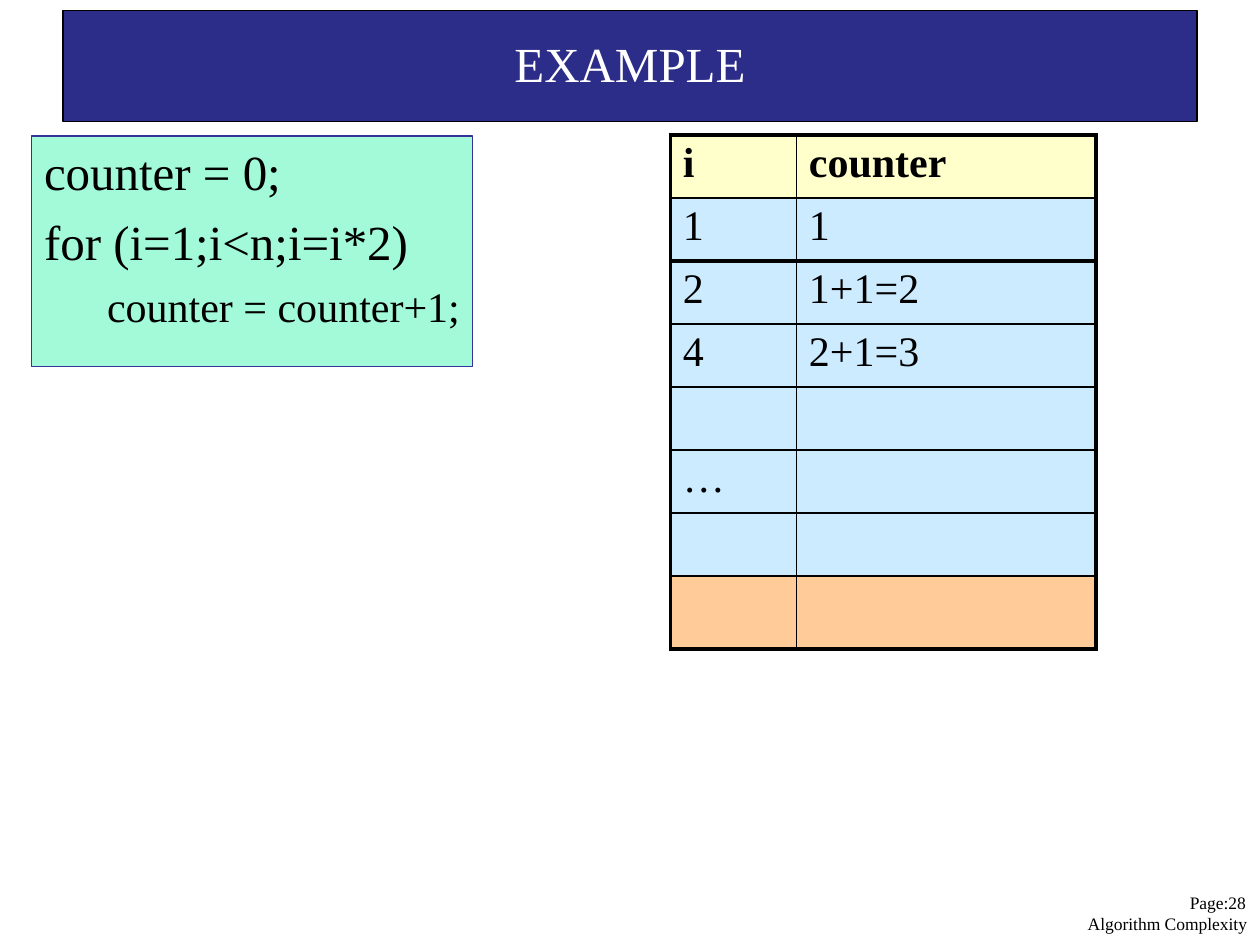
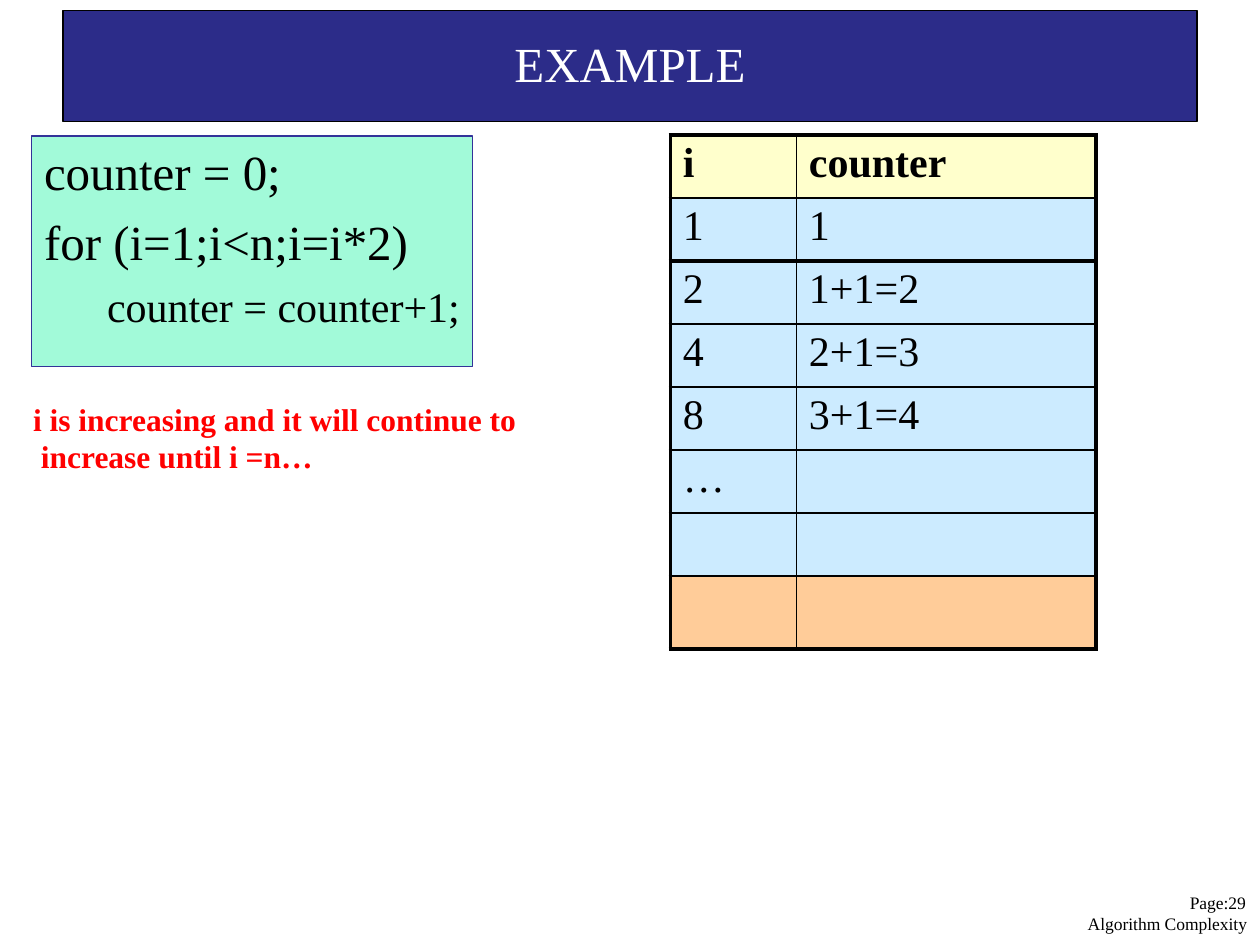
from pptx import Presentation
from pptx.dml.color import RGBColor as RGB
from pptx.enum.shapes import MSO_SHAPE as Shape
from pptx.enum.text import MSO_ANCHOR as Anchor, PP_ALIGN as Align
from pptx.oxml.ns import qn
from pptx.util import Pt
from lxml.etree import SubElement

# Content
TITLE = "EXAMPLE"
TOPIC = "Algorithm Complexity"
# text, size, left indent, space before
CODE = [
    ("counter = 0;", 28, 7.2, 2.6),
    ("for (i=1;i<n;i=i*2)", 28, 7.2, 6.8),
    ("counter = counter+1;", 24, 43.2, 5.9),
]
HEAD = ("i", "counter")
STEPS = [("1", "1"), ("2", "1+1=2"), ("4", "2+1=3")]
BLANK = ("", "")
REST = [("…", ""), BLANK, BLANK]
SLIDES = [
    {"page": 28, "next": BLANK, "note": ""},
    {"page": 29, "next": ("8", "3+1=4"),
     "note": "i is increasing and it will continue to increase until i =n…"},
]

# Style
FONT = "Times New Roman"
BLACK = RGB(0x00, 0x00, 0x00)
WHITE = RGB(0xFF, 0xFF, 0xFF)
RED = RGB(0xFF, 0x00, 0x00)
NAVY = RGB(0x2C, 0x2C, 0x89)
EDGE = RGB(0x33, 0x33, 0x99)
MINT = RGB(0xA2, 0xFA, 0xD9)
CREAM = RGB(0xFF, 0xFF, 0xCC)
SKY = RGB(0xCC, 0xEB, 0xFF)
PEACH = RGB(0xFF, 0xCC, 0x99)

# Places: left, top, width, height
BAND = (36, 6, 648, 63.4)
CODEBOX = (18, 77.76, 252, 131.76)
NOTEBOX = (18, 227.52, 277.92, 45.36)
FOOTBOX = (620.64, 509.76, 95.04, 25.2)
GRID = (383.04, 77.04)
COLS = (72, 171.36)
ROW, LAST = 36, 41.76
THICK, THIN = 2.25, 1


def style(par, size, color=BLACK, bold=False, before=0, left=0, first=0):
    par.space_before = Pt(before)
    props = par._p.get_or_add_pPr()
    props.set("marL", str(Pt(left)))
    props.set("indent", str(Pt(first)))
    for run in par.runs:
        font = run.font
        font.name, font.size, font.bold = FONT, Pt(size), bold
        font.color.rgb = color


def frame(shape, top=0):
    text = shape.text_frame
    text.word_wrap = True
    text.vertical_anchor = Anchor.TOP
    text.margin_left = text.margin_right = text.margin_bottom = 0
    text.margin_top = Pt(top)
    return text


def panel(slide, place, fill, line, top):
    box = slide.shapes.add_shape(Shape.RECTANGLE, *map(Pt, place))
    box.shadow.inherit = False
    box.fill.solid()
    box.fill.fore_color.rgb = fill
    box.line.color.rgb = line
    box.line.width = Pt(0.75)
    return frame(box, top)


def label(slide, place, words, top=0):
    text = frame(slide.shapes.add_textbox(*map(Pt, place)), top)
    text.text = words
    return text.paragraphs[0]


def border(cell, widths):
    props = cell._tc.get_or_add_tcPr()
    for spot, (side, width) in enumerate(widths.items()):
        line = props.makeelement(qn("a:ln" + side), {"w": str(Pt(width))})
        fill = SubElement(line, qn("a:solidFill"))
        SubElement(fill, qn("a:srgbClr"), val=str(BLACK))
        props.insert(spot, line)  # borders come before the fill


def trace(slide, rows):
    heights = [ROW] * (len(rows) - 1) + [LAST]
    size = (sum(COLS), sum(heights))
    table = slide.shapes.add_table(
        len(rows), len(COLS), *map(Pt, GRID + size)).table
    table.first_row = table.horz_banding = False
    for col, width in zip(table.columns, COLS):
        col.width = Pt(width)
    end = len(rows) - 1
    heavy = {0, 2, len(rows)}  # rules around the table and under step 1
    for r, row in enumerate(rows):
        table.rows[r].height = Pt(heights[r])
        for c, words in enumerate(row):
            cell = table.cell(r, c)
            cell.margin_left = cell.margin_right = cell.margin_bottom = 0
            cell.margin_top = Pt(2.88)
            cell.fill.solid()
            cell.fill.fore_color.rgb = {0: CREAM, end: PEACH}.get(r, SKY)
            border(cell, {
                "L": THIN if c else THICK,
                "R": THICK if c else THIN,
                "T": THICK if r in heavy else THIN,
                "B": THICK if r + 1 in heavy else THIN,
            })
            if words:
                cell.text_frame.text = words
                style(cell.text_frame.paragraphs[0], 24, bold=r == 0,
                      before=2.8, left=7.2)


def shared(slide, page):
    # Footer
    par = label(slide, FOOTBOX, f"Page:{page} {TOPIC}")
    style(par, 10, before=0.2, left=0.9, first=58.3)
    par.line_spacing = Pt(12)
    # Title band
    text = panel(slide, BAND, NAVY, BLACK, 13.4)
    text.text = TITLE
    par = text.paragraphs[0]
    par.alignment = Align.CENTER
    style(par, 28, WHITE)
    # Code
    text = panel(slide, CODEBOX, MINT, EDGE, 2.88)
    text.text = "\n".join(line[0] for line in CODE)
    for par, (_, size, left, before) in zip(text.paragraphs, CODE):
        par.alignment = Align.LEFT
        style(par, size, before=before, left=left)


def main():
    deck = Presentation()
    deck.slide_width, deck.slide_height = Pt(720), Pt(540)
    for data in SLIDES:
        slide = deck.slides.add_slide(deck.slide_layouts[6])
        shared(slide, data["page"])
        trace(slide, [HEAD, *STEPS, data["next"], *REST])
        if data["note"]:
            par = label(slide, NOTEBOX, data["note"], 0.9)
            style(par, 18, RED, True, before=1, left=5.4, first=-4.5)
    deck.save("out.pptx")


if __name__ == "__main__":
    main()
